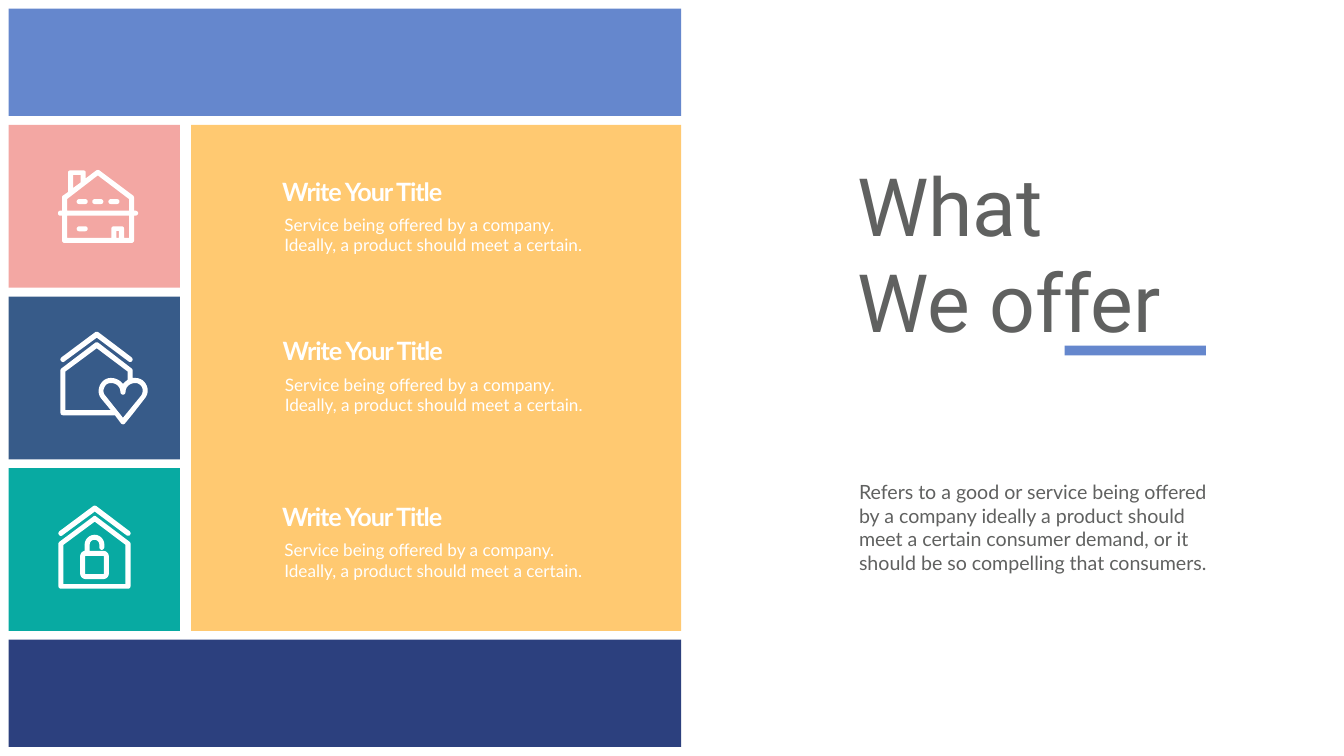
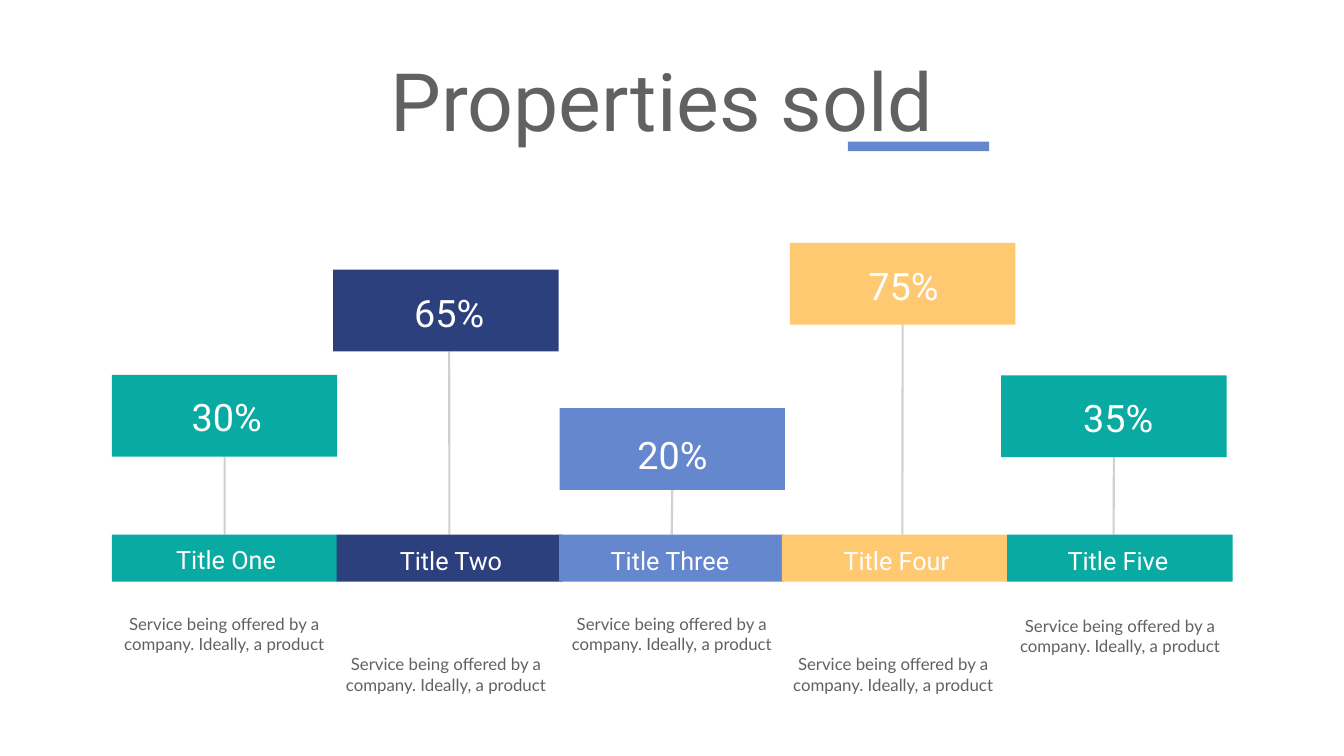
from dataclasses import dataclass

from pptx import Presentation
from pptx.dml.color import RGBColor
from pptx.enum.shapes import MSO_CONNECTOR, MSO_SHAPE
from pptx.enum.text import MSO_ANCHOR, MSO_AUTO_SIZE, PP_ALIGN
from pptx.oxml.ns import qn
from pptx.oxml.xmlchemy import OxmlElement
from pptx.util import Inches, Pt

RECTANGLE, PILL = MSO_SHAPE.RECTANGLE, MSO_SHAPE.ROUNDED_RECTANGLE
STRAIGHT = MSO_CONNECTOR.STRAIGHT
LEFT, CENTER = PP_ALIGN.LEFT, PP_ALIGN.CENTER
TOP = MSO_ANCHOR.TOP
GROW = MSO_AUTO_SIZE.SHAPE_TO_FIT_TEXT
TITLE_ONLY = 5
TOP_SIDE, BOTTOM_SIDE = 0, 2


@dataclass(frozen=True)
class Theme:
    white: str = "FFFFFF"
    grey: str = "606160"
    stem: str = "808080"
    blue: str = "6587CD"
    navy: str = "2C407E"
    steel: str = "375B89"
    teal: str = "08AAA2"
    pink: str = "F3A7A3"
    amber: str = "FFC971"
    display_font: str = "Roboto"
    body_font: str = "Lato"
    title_size: float = 115
    value_size: float = 54
    label_size: float = 36
    intro_size: float = 28
    offer_size: float = 24.5
    caption_size: float = 24


THEME = Theme()


@dataclass(frozen=True)
class Style:
    font: str
    size: float
    color: str
    align: PP_ALIGN = LEFT
    bold: bool = False
    spacing: float = 0
    wrap: bool = True
    inset: tuple[float, float] = (0.1, 0.05)


WIDE_INSET = (0.24, 0.12)
OFFER_HEADING = Style(THEME.body_font, THEME.label_size, THEME.white, bold=True, spacing=-1.5)
OFFER_BODY = Style(THEME.body_font, THEME.offer_size, THEME.white, inset=WIDE_INSET)
INTRO = Style(THEME.body_font, THEME.intro_size, THEME.grey, inset=WIDE_INSET)
CAPTION = Style(THEME.body_font, THEME.caption_size, THEME.grey, CENTER, inset=WIDE_INSET)
VALUE = Style(THEME.display_font, THEME.value_size, THEME.white, CENTER)
LABEL = Style(THEME.display_font, THEME.label_size, THEME.white, CENTER, wrap=False)


@dataclass(frozen=True)
class Icon:
    """Outlines and dashes in hundredths of an inch from the icon's corner."""
    left: float
    top: float
    outlines: tuple[str, ...]
    dashes: tuple[tuple[int, int], ...] = ()


@dataclass(frozen=True)
class Offer:
    tile_color: str
    icon: Icon
    text_left: float
    text_top: float


@dataclass(frozen=True)
class Sale:
    title: str
    value: str
    color: str
    label_left: float
    card_at: tuple[float, float]
    stem_x: float
    title_box: tuple[float, float, float]
    value_at: tuple[float, float]
    caption_at: tuple[float, float]


# Icon outlines
COTTAGE = (
    "M 30 10 L 45 10 L 45 25 L 30 36 Z "
    "M 18 81 L 18 58 L 79 11 L 141 58 L 141 81 Z "
    "M 131 135 L 131 116 C 131 114 129 112 126 112 L 111 112 C 108 112 106 114 106 116 "
    "L 106 135 L 18 135 L 18 91 L 141 91 L 141 135 Z "
    "M 121 135 L 116 135 L 116 121 L 121 121 Z "
    "M 153 81 L 151 81 L 151 56 C 151 54 150 52 149 51 L 82 1 C 81 0 78 0 76 1 L 55 17 "
    "L 55 5 C 55 3 53 1 50 1 L 25 1 C 22 1 20 3 20 5 L 20 44 L 10 51 C 8 52 8 54 8 56 "
    "L 8 81 L 5 81 C 2 81 0 83 0 86 C 0 89 2 91 5 91 L 8 91 L 8 140 C 8 142 10 145 13 145 "
    "L 146 145 C 149 145 151 142 151 140 L 151 91 L 153 91 C 156 91 159 89 159 86 "
    "C 159 83 156 81 153 81 Z")
ROOF = (
    "M 8 59 L 72 12 L 135 59 C 136 60 137 60 138 60 C 140 60 141 60 142 58 "
    "C 144 56 143 53 141 51 L 75 1 C 73 0 70 0 69 1 L 2 51 C 0 53 -1 56 1 58 "
    "C 3 61 6 61 8 59 Z")
HEART_HOUSE = (
    "M 89 127 C 85 123 84 116 87 111 C 89 105 94 102 100 102 L 101 102 "
    "C 111 102 119 110 119 120 C 119 123 121 125 124 125 C 127 125 129 123 129 120 "
    "C 129 110 137 102 148 102 L 149 102 C 154 102 159 105 162 111 "
    "C 164 116 163 123 160 127 L 124 171 Z "
    "M 10 79 L 72 33 L 133 79 L 133 96 C 130 98 126 101 124 104 C 119 97 110 92 101 92 "
    "L 99 92 C 90 92 82 98 78 107 C 74 116 75 126 81 133 L 100 156 L 10 156 Z "
    "M 167 133 C 173 126 175 116 171 107 C 167 98 159 92 149 92 L 143 92 L 143 77 "
    "C 143 75 142 74 141 73 L 75 22 C 73 21 70 21 69 22 L 2 73 C 1 74 0 75 0 77 L 0 161 "
    "C 0 164 2 166 5 166 L 108 166 L 120 182 C 121 183 123 184 124 184 "
    "C 126 184 127 183 128 182 L 142 165 Z")
HOUSE = (
    "M 133 156 L 10 156 L 10 78 L 72 32 L 133 78 Z "
    "M 141 72 L 75 22 C 73 20 70 20 69 22 L 2 72 C 1 73 0 74 0 76 L 0 160 "
    "C 0 163 2 165 5 165 L 138 165 C 141 165 143 163 143 160 L 143 76 "
    "C 143 74 142 73 141 72 Z")
PADLOCK = (
    "M 90 101 L 90 135 C 90 136 89 136 89 136 L 54 136 C 54 136 53 136 53 135 L 53 101 "
    "C 53 100 54 100 54 100 L 89 100 C 89 100 90 100 90 101 Z "
    "M 52 77 L 52 90 C 47 91 43 95 43 101 L 43 135 C 43 141 48 146 54 146 L 89 146 "
    "C 95 146 100 141 100 135 L 100 101 C 100 95 95 90 89 90 L 62 90 L 62 77 "
    "C 62 72 66 68 72 68 C 76 68 81 72 81 77 L 81 83 C 81 85 83 88 86 88 "
    "C 88 88 91 85 91 83 L 91 77 C 91 67 82 58 72 58 C 61 58 52 67 52 77 Z")

# Content
OFFERS = (
    Offer(THEME.pink, Icon(1.15, 3.37, (COTTAGE,), ((37, 112), (37, 58), (68, 58), (100, 58))),
          5.4, 3.44),
    Offer(THEME.steel, Icon(1.2, 6.58, (ROOF, HEART_HOUSE)), 5.41, 6.61),
    Offer(THEME.teal, Icon(1.16, 10.03, (HOUSE, ROOF, PADLOCK)), 5.4, 9.9),
)
OFFER_TEXT = "Service being offered by a company. Ideally, a product should meet a certain."
INTRO_TEXT = ("Refers to a good or service being offered by a company ideally a product should "
              "meet a certain consumer demand, or it should be so compelling that consumers.")
CAPTION_TEXT = "Service being offered by a company. Ideally, a product"
SALES = (
    Sale("Title One", "30%", THEME.teal, 2.22, (2.22, 7.44), 4.45,
         (3.33, 10.76, 2.31), (3.16, 7.77), (1.85, 12.06)),
    Sale("Title Two", "65%", THEME.navy, 6.68, (6.61, 5.35), 8.91,
         (7.75, 10.78, 2.39), (7.57, 5.69), (6.25, 12.86)),
    Sale("Title Three", "20%", THEME.blue, 11.09, (11.1, 8.1), 13.32,
         (11.93, 10.78, 2.72), (12, 8.51), (10.73, 12.05)),
    Sale("Title Four", "75%", THEME.amber, 15.51, (15.67, 4.82), 17.9,
         (16.56, 10.77, 2.44), (16.58, 5.16), (15.12, 12.86)),
    Sale("Title Five", "35%", THEME.teal, 19.98, (19.86, 7.45), 22.09,
         (21.01, 10.78, 2.33), (20.84, 7.78), (19.62, 12.09)),
)


# Drawing helpers
def paint(shape, color: str):
    shape.shadow.inherit = False
    shape.fill.solid()
    shape.fill.fore_color.rgb = RGBColor.from_string(color)
    shape.line.fill.background()
    return shape


def add_block(shapes, left: float, top: float, width: float, height: float, color: str,
              outline: MSO_SHAPE = RECTANGLE):
    return paint(shapes.add_shape(outline, Inches(left), Inches(top),
                                  Inches(width), Inches(height)), color)


def write(shape, lines: tuple[str, ...], style: Style) -> None:
    frame = shape.text_frame
    frame.word_wrap = style.wrap
    frame.auto_size = GROW
    frame.vertical_anchor = TOP
    frame.margin_left = frame.margin_right = Inches(style.inset[0])
    frame.margin_top = frame.margin_bottom = Inches(style.inset[1])
    for index, line in enumerate(lines):
        paragraph = frame.add_paragraph() if index else frame.paragraphs[0]
        paragraph.alignment = style.align
        run = paragraph.add_run()
        run.text = line
        run.font.name = style.font
        run.font.size = Pt(style.size)
        run.font.bold = style.bold
        run.font.color.rgb = RGBColor.from_string(style.color)
        if style.spacing:
            run._r.get_or_add_rPr().set("spc", str(round(style.spacing * 100)))


def add_text(slide, left: float, top: float, width: float, height: float,
             text: str, style: Style) -> None:
    box = slide.shapes.add_textbox(Inches(left), Inches(top), Inches(width), Inches(height))
    write(box, (text,), style)


def add_titled_slide(deck, lines: tuple[str, ...], box: tuple[float, float, float, float],
                     align: PP_ALIGN, underline_at: tuple[float, float]):
    slide = deck.slides.add_slide(deck.slide_layouts[TITLE_ONLY])
    title = slide.shapes.title
    title.left, title.top, title.width, title.height = map(Inches, box)
    write(title, lines, Style(THEME.display_font, THEME.title_size, THEME.grey, align))
    add_block(slide.shapes, *underline_at, 2.8, 0.19, THEME.blue)
    return slide


def trace(contour: str, steps: int = 6) -> list[tuple[float, float]]:
    """Turn M, L and C commands into points, with curves cut into short lines."""
    points: list[tuple[float, float]] = []
    for command in contour.replace("L", "|L").replace("C", "|C").split("|"):
        numbers = [float(word) for word in command.split()[1:]]
        pairs = list(zip(numbers[::2], numbers[1::2]))
        if command.startswith("C"):
            corners = [points[-1], *pairs]
            for step in range(1, steps + 1):
                t = step / steps
                weights = ((1 - t) ** 3, 3 * t * (1 - t) ** 2, 3 * t * t * (1 - t), t ** 3)
                points.append(tuple(sum(w * corner[axis] for w, corner in zip(weights, corners))
                                    for axis in (0, 1)))
        else:
            points += pairs
    return points


def add_icon(slide, icon: Icon) -> None:
    group = slide.shapes.add_group_shape()
    for outline in icon.outlines:
        builder = None
        for contour in outline.split("Z"):
            if not contour.strip():
                continue
            start, *rest = [(Inches(icon.left + x / 100), Inches(icon.top + y / 100))
                            for x, y in trace(contour.strip())]
            if builder is None:
                builder = group.shapes.build_freeform(*start)
            else:
                builder.move_to(*start)
            builder.add_line_segments(rest, close=True)
        paint(builder.convert_to_shape(), THEME.white)
    for x, y in icon.dashes:
        dash = add_block(group.shapes, icon.left + x / 100, icon.top + y / 100, 0.22, 0.1,
                         THEME.white, PILL)
        dash.adjustments[0] = 0.5


def add_stem(slide, x: float, label, card) -> None:
    """Link a label to its card, joined wherever the stem meets a side's middle."""
    stem = slide.shapes.add_connector(STRAIGHT, Inches(x), label.top,
                                      Inches(x), card.top + card.height)
    for block, side, join in ((label, TOP_SIDE, stem.begin_connect),
                              (card, BOTTOM_SIDE, stem.end_connect)):
        if abs(block.left + block.width / 2 - Inches(x)) < Inches(0.05):
            join(block, side)
    stem.line.width = Pt(3)
    stem.line.color.rgb = RGBColor.from_string(THEME.stem)
    properties = stem._element.spPr
    alpha = OxmlElement("a:alpha")
    alpha.set("val", "37000")
    properties.find(".//" + qn("a:srgbClr")).append(alpha)
    properties.append(OxmlElement("a:effectLst"))


# Slides
def build_offer_slide(deck) -> None:
    slide = add_titled_slide(deck, ("What", "We offer"), (16.9, 3.04, 6.54, 3.97),
                             LEFT, (21.12, 6.86))
    margin, tile_width, tile_height = 0.17, 3.4, 3.23
    panel_top, panel_height = 2.48, 10.04
    pitch = (panel_height - tile_height) / (len(OFFERS) - 1)
    for band_top, color in ((margin, THEME.blue), (12.69, THEME.navy)):
        add_block(slide.shapes, margin, band_top, 13.34, 2.13, color)
    add_block(slide.shapes, 3.79, panel_top, 9.72, panel_height, THEME.amber)
    for row, offer in enumerate(OFFERS):
        add_block(slide.shapes, margin, panel_top + row * pitch, tile_width, tile_height,
                  offer.tile_color)
        add_icon(slide, offer.icon)
        add_text(slide, offer.text_left, offer.text_top + 0.69, 6.4, 1.06, OFFER_TEXT, OFFER_BODY)
        add_text(slide, offer.text_left + 0.1, offer.text_top, 4.59, 0.71,
                 "Write Your Title", OFFER_HEADING)
    add_text(slide, 16.8, 9.41, 7.67, 2.13, INTRO_TEXT, INTRO)


def build_sales_slide(deck) -> None:
    slide = add_titled_slide(deck, ("Properties sold ",), (7.64, 0.97, 11.38, 2.04),
                             CENTER, (16.82, 2.81))
    block_width = 4.47
    for sale in SALES:
        label = add_block(slide.shapes, sale.label_left, 10.61, block_width, 0.93, sale.color)
        card = add_block(slide.shapes, *sale.card_at, block_width, 1.62, sale.color)
        add_stem(slide, sale.stem_x, label, card)
        add_text(slide, *sale.title_box, 0.61, sale.title, LABEL)
        add_text(slide, *sale.value_at, 2.68, 0.97, sale.value, VALUE)
        add_text(slide, *sale.caption_at, 5.19, 1.05, CAPTION_TEXT, CAPTION)


def main() -> None:
    deck = Presentation()
    deck.slide_width, deck.slide_height = Inches(26.66), Inches(15)
    build_offer_slide(deck)
    build_sales_slide(deck)
    deck.save("out.pptx")


if __name__ == "__main__":
    main()
